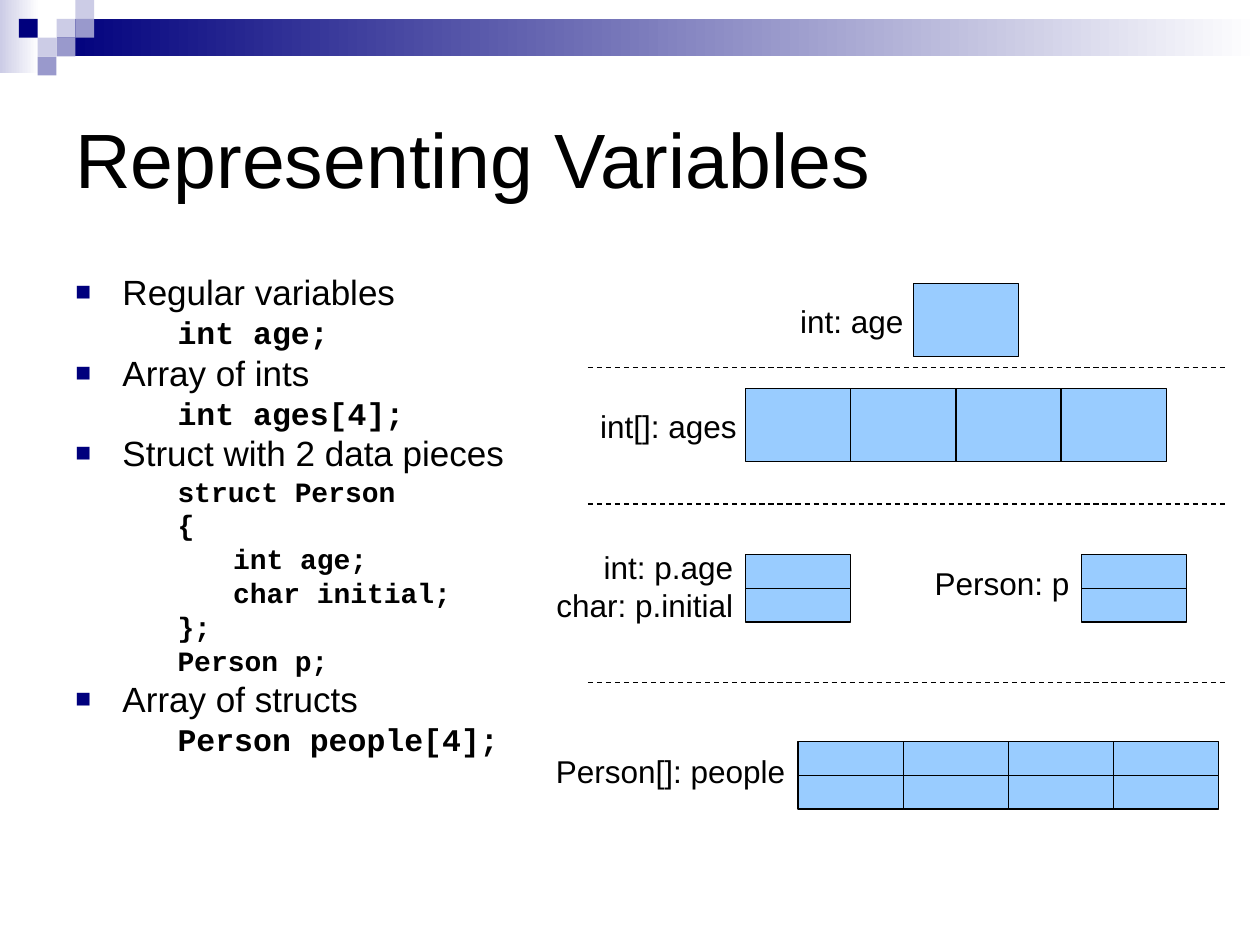
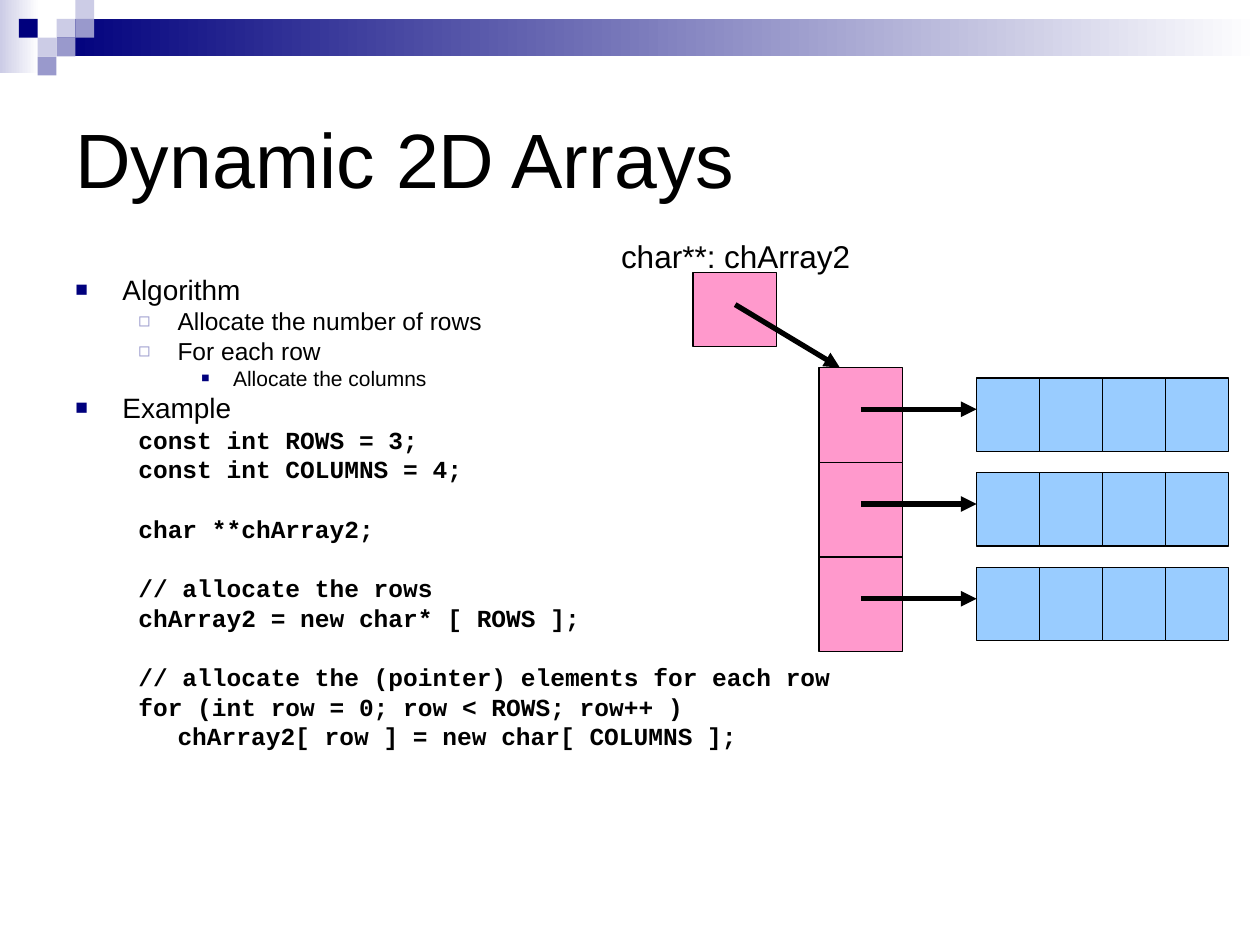
from lxml import etree
from pptx import Presentation
from pptx.dml.color import RGBColor
from pptx.enum import dml, shapes, text
from pptx.oxml.ns import qn
from pptx.util import Cm, Pt

COLOURS = {
    "ink": "000000", "paper": "FFFFFF", "navy": "00007D", "lilac": "9999CC",
    "mist": "CCCCE6", "value": "99CCFF", "pointer": "FF99CC",
}
TITLE_BOX = (1.27, 1.27, 22.86, 3.81)
BODY_BOX = (1.27, 5.5, 22.86, 10.8)
# level: (margin, hanging indent, bullet, bullet colour, bullet size in %)
BULLETS = [
    (0.95, 0.95, "■", "navy", 75),
    (2.06, 0.79, "◻", "lilac", 80),
    (3.18, 0.64, "■", "navy", 65),
]
UNIT = 0.38  # side of one small square in the corner
SQUARES = [  # column, row, colour
    (3, 1, "mist"), (4, 0, "mist"), (4, 1, "lilac"), (2, 2, "mist"),
    (1, 1, "navy"), (3, 2, "lilac"), (2, 3, "lilac"),
]
RIGHT = text.PP_ALIGN.RIGHT


def rgb(name):
    return RGBColor.from_string(COLOURS[name])


def apply(obj, **fmt):
    for name, value in fmt.items():
        setattr(obj, name, value)


def add_rect(parent, box, fill, outlined=False):
    """Rectangle with a solid fill, or a gradient when fill is a pair of names."""
    sp = parent.add_shape(shapes.MSO_SHAPE.RECTANGLE, *map(Cm, box))
    sp.shadow.inherit = False
    if isinstance(fill, tuple):
        sp.fill.gradient()
        sp.fill.gradient_angle = 0
        for stop, name in zip(sp.fill.gradient_stops, fill):
            stop.color.rgb = rgb(name)
    else:
        sp.fill.solid()
        sp.fill.fore_color.rgb = rgb(fill)
    if outlined:
        sp.line.color.rgb = rgb("ink")
        sp.line.width = Pt(0.75)
    else:
        sp.line.fill.background()
    return sp


def add_cells(slide, x, y, cell, cols=1, rows=1, fill="value"):
    w, h = cell
    for col in range(cols):
        for row in range(rows):
            add_rect(slide.shapes, (x + col * w, y + row * h, w, h), fill, True)


def add_line(slide, start, end, width, dashed=False, arrow=False):
    cxn = slide.shapes.add_connector(
        shapes.MSO_CONNECTOR.STRAIGHT, *map(Cm, (*start, *end)))
    cxn.line.color.rgb = rgb("ink")
    cxn.line.width = Pt(width)
    if dashed:
        cxn.line.dash_style = dml.MSO_LINE.DASH
    if arrow:
        etree.SubElement(cxn.line._get_or_add_ln(), qn("a:tailEnd"), type="triangle")
    etree.SubElement(cxn._element.spPr, qn("a:effectLst"))


def add_frame(slide, box, anchor=text.MSO_ANCHOR.TOP):
    tf = slide.shapes.add_textbox(*map(Cm, box)).text_frame
    apply(tf, word_wrap=True, vertical_anchor=anchor)
    return tf


def style_font(p, size, name="Arial", bold=False):
    for r in p.runs:
        apply(r.font, size=Pt(size), name=name, bold=bold)
        r.font.color.rgb = rgb("ink")


def add_label(slide, x, y, w, words, h=1.02, align=text.PP_ALIGN.LEFT):
    p = add_frame(slide, (x, y, w, h)).paragraphs[0]
    apply(p, text=words, alignment=align)
    style_font(p, 18)


def set_bullet(p, level):
    margin, hang, char, colour, percent = BULLETS[level]
    p.level = level
    pPr = p._p.get_or_add_pPr()
    pPr.set("marL", str(Cm(margin)))
    pPr.set("indent", str(-Cm(hang)))
    clr = etree.SubElement(pPr, qn("a:buClr"))
    etree.SubElement(clr, qn("a:srgbClr"), val=COLOURS[colour])
    etree.SubElement(pPr, qn("a:buSzPct"), val=str(percent * 1000))
    etree.SubElement(pPr, qn("a:buFont"), typeface="Arial")
    etree.SubElement(pPr, qn("a:buChar"), char=char)


def bullet(size, words, level=0):
    return {"size": size, "words": words, "level": level}


def code(size, words, margin=2.06, gap=0):
    """Line of code; gap is extra space above, in points."""
    return {"size": size, "words": words, "margin": margin, "gap": gap}


def add_corner_band(slide, width):
    group = slide.shapes.add_group_shape().shapes
    add_rect(group, (0, 0, 0.79, 1.47), ("mist", "paper"))
    add_rect(group, (3 * UNIT, UNIT, width - 3 * UNIT, 2 * UNIT), ("navy", "paper"))
    for col, row, colour in SQUARES:
        add_rect(group, (col * UNIT, row * UNIT, UNIT, UNIT), colour)


def add_title(slide, box, words):
    p = add_frame(slide, box, text.MSO_ANCHOR.MIDDLE).paragraphs[0]
    p.text = words
    style_font(p, 44)


def add_body(slide, box, lines):
    tf = add_frame(slide, box)
    for i, line in enumerate(lines):
        p = tf.add_paragraph() if i else tf.paragraphs[0]
        p.text = line["words"]
        if "level" in line:
            set_bullet(p, line["level"])
            style_font(p, line["size"])
        else:
            p.level = 1
            pPr = p._p.get_or_add_pPr()
            pPr.set("marL", str(Cm(line["margin"])))
            pPr.set("indent", "0")
            style_font(p, line["size"], "Courier New", True)
        before = line["size"] / 4 + line.get("gap", 0) if i else 0
        apply(p, line_spacing=0.8, space_before=Pt(before))


def add_memory_diagram(slide, box):
    """Labelled cells for each kind of variable, with dashed dividers."""
    x, y, w, _ = box
    full, half = (2.12, 1.48), (2.12, 0.68)
    for left, top, cell, cols, rows in [
        (9.11, 0, full, 1, 1),
        (5.72, 2.12, full, 4, 1),
        (5.72, 5.47, half, 1, 2),
        (12.49, 5.47, half, 1, 2),
        (6.78, 9.24, half, 4, 2),
    ]:
        add_cells(slide, x + left, y + top, cell, cols, rows)
    for left, top, width, words, fmt in [
        (6.57, 0.26, 2.74, "int: age", {}),
        (2.54, 2.37, 3.39, "int[]: ages", {}),
        (1.49, 5.21, 4.23, "int: p.age\vchar: p.initial", {"h": 1.78, "align": RIGHT}),
        (9.11, 5.54, 3.39, "Person: p", {"align": RIGHT}),
        (0, 9.33, 6.77, "Person[]: people", {"align": RIGHT}),
    ]:
        add_label(slide, x + left, y + top, width, words, **fmt)
    for top in (1.7, 4.45, 8.05):
        add_line(slide, (x + 2.54, y + top), (x + w, y + top), 0.75, dashed=True)


def add_pointer_diagram(slide, box, rows=3, cols=4):
    """A pointer to a column of row pointers, each leading to a row of cells."""
    x, y, w, _ = box
    pitch, side, cell = 1.91, 1.69, (1.27, 1.48)
    row_x = x + w - cols * cell[0]
    column_x, column_y = x + 4.24, y + 2.76
    add_cells(slide, column_x, column_y, (side, pitch), rows=rows, fill="pointer")
    add_cells(slide, x + 1.7, y + 0.85, (side, 1.48), fill="pointer")
    add_label(slide, x, y, 5.51, "char**: chArray2")
    for i in range(rows):
        top = column_y + i * pitch
        add_cells(slide, row_x, top + 0.21, cell, cols)
        add_line(slide, (column_x + side / 2, top + 0.84), (row_x, top + 0.84),
                 3, arrow=True)
    add_line(slide, (x + 2.55, y + 1.49), (column_x + 0.42, column_y), 3, arrow=True)


VARIABLES = [
    bullet(20, "Regular variables"),
    code(18, "int age;"),
    bullet(20, "Array of ints"),
    code(18, "int ages[4];"),
    bullet(20, "Struct with 2 data pieces"),
    code(16, "struct Person"),
    code(16, "{"),
    code(16, "int age;", 3.18),
    code(16, "char initial;", 3.18),
    code(16, "};"),
    code(16, "Person p;"),
    bullet(20, "Array of structs"),
    code(18, "Person people[4];"),
]
ARRAYS = [
    bullet(16, "Algorithm"),
    bullet(14, "Allocate the number of rows", 1),
    bullet(14, "For each row", 1),
    bullet(12, "Allocate the columns", 2),
    bullet(16, "Example"),
    code(14, "const int ROWS = 3;", 1.27),
    code(14, "const int COLUMNS = 4;", 1.27),
    code(14, "char **chArray2;", 1.27, gap=17),
    code(14, "// allocate the rows", 1.27, gap=17),
    code(14, "chArray2 = new char* [ ROWS ];", 1.27),
    code(14, "// allocate the (pointer) elements for each row", 1.27, gap=17),
    code(14, "for (int row = 0; row < ROWS; row++ )", 1.27),
    code(14, "chArray2[ row ] = new char[ COLUMNS ];"),
]
SLIDES = [
    ("Representing Variables", VARIABLES, add_memory_diagram, (9.31, 5.71, 15.46, 10.6)),
    ("Dynamic 2D Arrays", ARRAYS, add_pointer_diagram, (12.27, 4.65, 12.5, 8.48)),
]


def main():
    prs = Presentation()
    apply(prs, slide_width=Cm(25.4), slide_height=Cm(19.05))
    for title, lines, add_diagram, box in SLIDES:
        slide = prs.slides.add_slide(prs.slide_layouts[6])
        add_corner_band(slide, 25.4)
        add_title(slide, TITLE_BOX, title)
        add_body(slide, BODY_BOX, lines)
        add_diagram(slide, box)
    prs.save("out.pptx")


if __name__ == "__main__":
    main()
